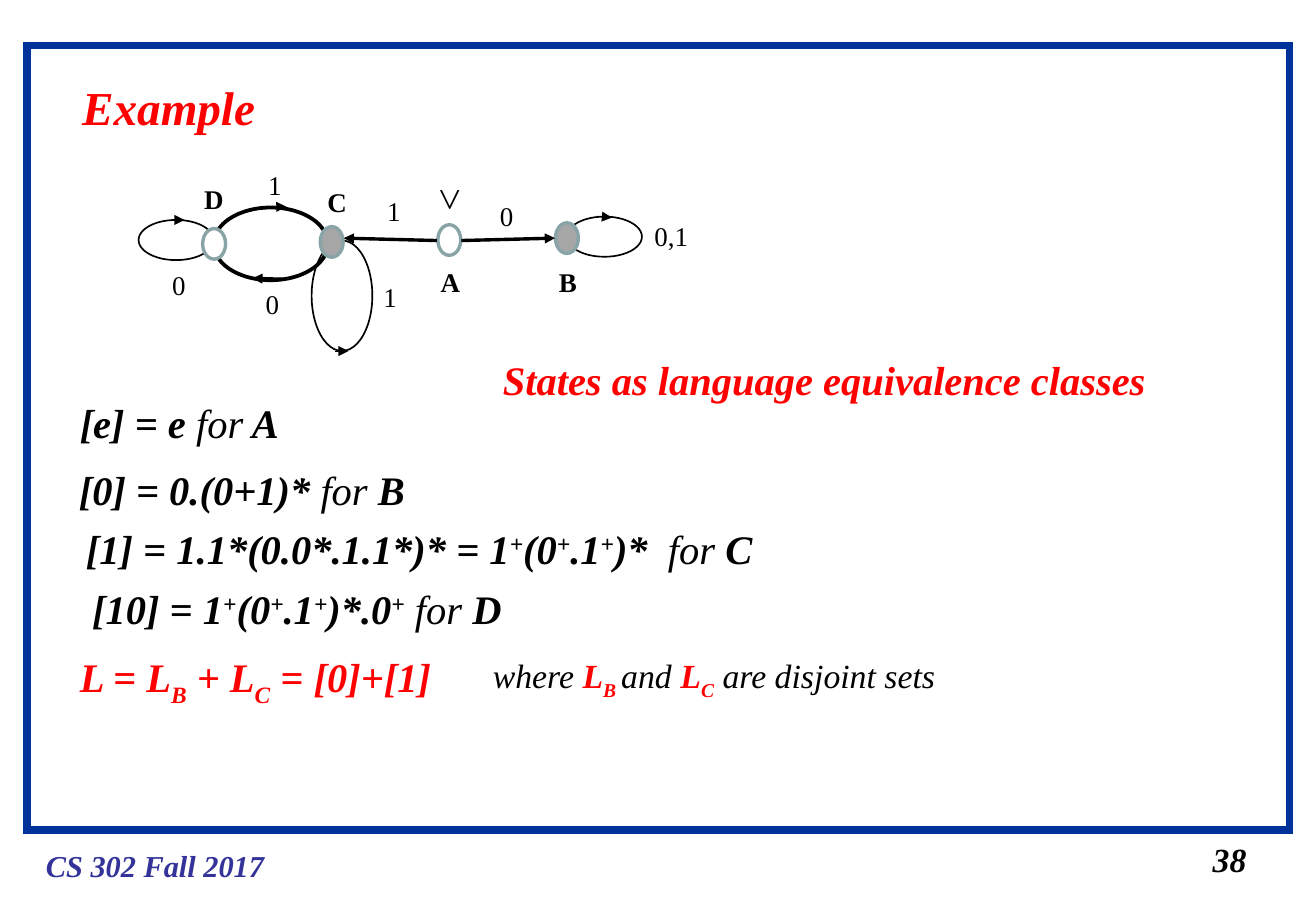
from lxml import etree
from pptx import Presentation
from pptx.dml.color import RGBColor
from pptx.enum.shapes import MSO_CONNECTOR, MSO_SHAPE
from pptx.enum.text import MSO_AUTO_SIZE
from pptx.oxml.ns import qn
from pptx.util import Cm, Pt

STRAIGHT = MSO_CONNECTOR.STRAIGHT
OVAL, RECTANGLE = MSO_SHAPE.OVAL, MSO_SHAPE.RECTANGLE
FIT_SHAPE = MSO_AUTO_SIZE.SHAPE_TO_FIT_TEXT

BLACK = RGBColor(0x00, 0x00, 0x00)
WHITE = RGBColor(0xFF, 0xFF, 0xFF)
RED = RGBColor(0xFF, 0x00, 0x00)
FRAME_BLUE = RGBColor(0x00, 0x33, 0x99)
FOOTER_BLUE = RGBColor(0x33, 0x33, 0x99)
STATE_RIM = RGBColor(0x89, 0xA4, 0xA7)
ACCEPTING = RGBColor(0xA6, 0xA6, 0xA6)

# Run formats; "baseline" is in thousandths of a percent
PLAIN = {"bold": False, "italic": False}
BOLD = {"bold": True, "italic": False}
ITALIC = {"bold": False, "italic": True}
STRONG = {"bold": True, "italic": True}
POWER = {**STRONG, "baseline": 30000}
RED_STRONG = {**STRONG, "color": RED}
RED_INDEX = {**RED_STRONG, "baseline": -25000}
FOOTER = {**STRONG, "color": FOOTER_BLUE}

# All lengths are in centimetres: left, top, width, height
FRAME = (0.56, 0.95, 26.42, 16.41)

# place, font size, runs
TEXTS = [
    ((0.71, 17.6, 5.08, 1.02), 18, [("CS 302 Fall 2017", FOOTER)]),
    ((25.12, 17.42, 1.22, 1.12), 20, [("38", STRONG)]),
    ((1.47, 1.52, 6, 1.45), 28, [("Example", RED_STRONG)]),
    ((10.27, 7.3, 14.17, 1.27), 24,
     [("States as language equivalence classes", RED_STRONG)]),
    ((1.42, 8.2, 4.7, 1.27), 24,
     [("[e] = e ", STRONG), ("for", ITALIC), (" A", STRONG)]),
    ((1.4, 9.61, 7.72, 1.27), 24,
     [("[0] = 0.(0+1)* ", STRONG), ("for ", ITALIC), ("B", STRONG)]),
    ((1.55, 10.84, 14.45, 1.27), 24,
     [("[1] = 1.1*(0.0*.1.1*)* = 1", STRONG), ("+", POWER), ("(0", STRONG),
      ("+", POWER), (".1", STRONG), ("+", POWER), (")* ", STRONG),
      (" for ", ITALIC), ("C", STRONG)]),
    ((1.68, 12.09, 9.07, 1.27), 24,
     [("[10] = 1", STRONG), ("+", POWER), ("(0", STRONG), ("+", POWER),
      (".1", STRONG), ("+", POWER), (")*.0", STRONG), ("+", POWER),
      (" for ", ITALIC), ("D", STRONG)]),
    ((1.42, 13.52, 8.31, 1.42), 24,
     [("L = L", RED_STRONG), ("B", RED_INDEX), (" + L", RED_STRONG),
      ("C", RED_INDEX), (" = [0]+[1]", RED_STRONG)]),
    ((10.06, 13.57, 9.8, 1.22), 20,
     [("where ", ITALIC), ("L", RED_STRONG), ("B ", RED_INDEX),
      ("and ", ITALIC), ("L", RED_STRONG), ("C", RED_INDEX),
      (" are disjoint sets", ITALIC)]),
]

# Fills of D, C, A, B from left to right
STATE_FILLS = [WHITE, ACCEPTING, WHITE, ACCEPTING]
STATE_START, STATE_STEP, STATE_SIZE = (4.24, 4.78), (2.46, -0.04), (0.48, 0.64)

# place, line width
LOOPS = [
    ((11.86, 4.53, 1.57, 0.84), 1),
    ((6.52, 5.03, 1.27, 2.31), 1),
    ((2.9, 4.6, 1.57, 0.84), 1),
    ((4.47, 4.34, 2.39, 1.52), 2.25),
]

# from x, from y, to x, to y, line width
ARROWS = [
    (12.47, 4.52, 12.8, 4.55, 0.25),
    (7.01, 7.34, 7.29, 7.34, 0.25),
    (3.53, 4.6, 3.86, 4.6, 0.25),
    (5.33, 4.34, 5.99, 4.32, 0.25),
    (5.94, 5.84, 5.28, 5.82, 2),
    (9.65, 5.03, 11.61, 4.98, 2),
    (9.14, 5.03, 7.19, 4.98, 2),
]

# text, left, top, width, format
LABEL_HEIGHT, LABEL_POINTS = 0.94, 16
LABELS = [
    ("A", 8.97, 5.42, 0.84, BOLD),
    ("B", 11.44, 5.42, 1.19, BOLD),
    ("C", 6.6, 3.76, 1.17, BOLD),
    ("D", 4.02, 3.69, 1.14, BOLD),
    ("0", 10.21, 4.04, 0.79, PLAIN),
    ("0,1", 13.44, 4.47, 1.22, PLAIN),
    ("1", 7.85, 3.94, 0.79, PLAIN),
    ("1", 7.77, 5.74, 0.79, PLAIN),
    ("0", 5.31, 5.89, 0.79, PLAIN),
    ("1", 5.36, 3.41, 0.79, PLAIN),
    ("0", 3.35, 5.49, 0.79, PLAIN),
]
START_MARK = ((8.97, 3.56, 0.99, 1.27), 24, [(">", PLAIN)])


def add_outline(page, preset, place, color, points, fill=None):
    shape = page.shapes.add_shape(preset, *map(Cm, place))
    shape.shadow.inherit = False
    shape.line.color.rgb = color
    shape.line.width = Pt(points)
    if fill is None:
        shape.fill.background()
    else:
        shape.fill.solid()
        shape.fill.fore_color.rgb = fill
    return shape


def add_text(page, place, points, runs, wrap=False):
    box = page.shapes.add_textbox(*map(Cm, place))
    box.text_frame.word_wrap = wrap
    box.text_frame.auto_size = FIT_SHAPE
    para = box.text_frame.paragraphs[0]
    for text, style in runs:
        span = para.add_run()
        span.text = text
        values = {"name": "Times New Roman", "size": Pt(points), **style}
        baseline = values.pop("baseline", None)
        span.font.color.rgb = values.pop("color", BLACK)
        for key, value in values.items():
            setattr(span.font, key, value)
        if baseline:
            span._r.get_or_add_rPr().set("baseline", str(baseline))
    return box


def add_arrow(page, ends, points):
    arrow = page.shapes.add_connector(STRAIGHT, *map(Cm, ends))
    arrow.line.color.rgb = BLACK
    arrow.line.width = Pt(points)
    etree.SubElement(arrow.line._get_or_add_ln(), qn("a:tailEnd"), type="triangle")
    etree.SubElement(arrow._element.spPr, qn("a:effectLst"))


def main():
    deck = Presentation()
    deck.slide_width, deck.slide_height = Cm(27.53), Cm(19.05)
    page = deck.slides.add_slide(deck.slide_layouts[6])

    frame = add_outline(page, RECTANGLE, FRAME, FRAME_BLUE, 4.5)
    etree.SubElement(frame.line._get_or_add_ln(), qn("a:miter"), lim="800000")
    for place, points in LOOPS:
        add_outline(page, OVAL, place, BLACK, points)
    for index, fill in enumerate(STATE_FILLS):
        corner = [start + index * step for start, step in zip(STATE_START, STATE_STEP)]
        add_outline(page, OVAL, (*corner, *STATE_SIZE), STATE_RIM, 2, fill)
    for *ends, points in ARROWS:
        add_arrow(page, ends, points)

    for text, left, top, width, style in LABELS:
        place = (left, top, width, LABEL_HEIGHT)
        # A wide label box keeps its text at the left edge
        add_text(page, place, LABEL_POINTS, [(text, style)], wrap=width > 0.8)
    add_text(page, *START_MARK).rotation = 90
    for place, points, runs in TEXTS:
        # Wrapping keeps each line at the left edge of its roomy box
        add_text(page, place, points, runs, wrap=place[2] == 6)

    deck.save("out.pptx")


if __name__ == "__main__":
    main()
